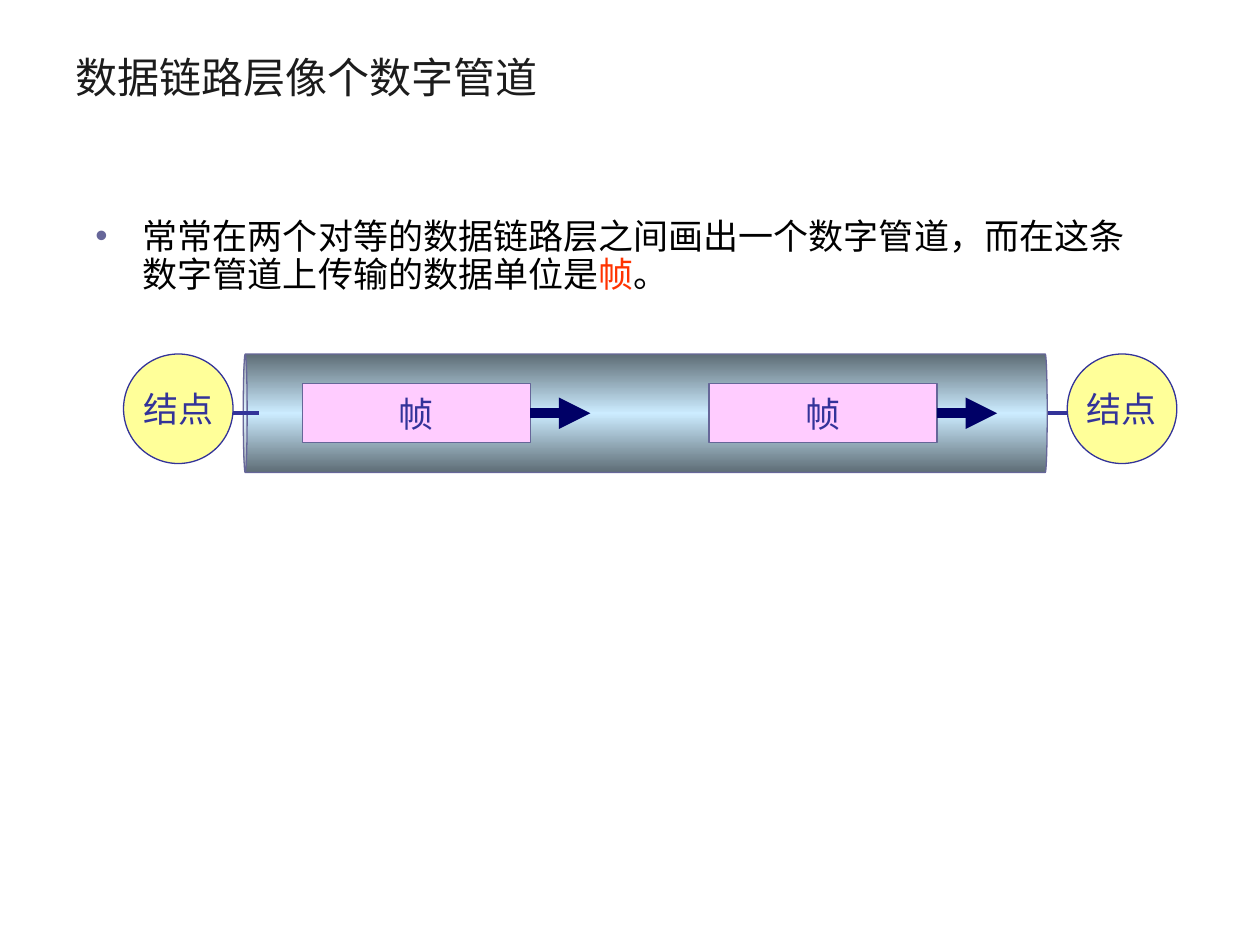
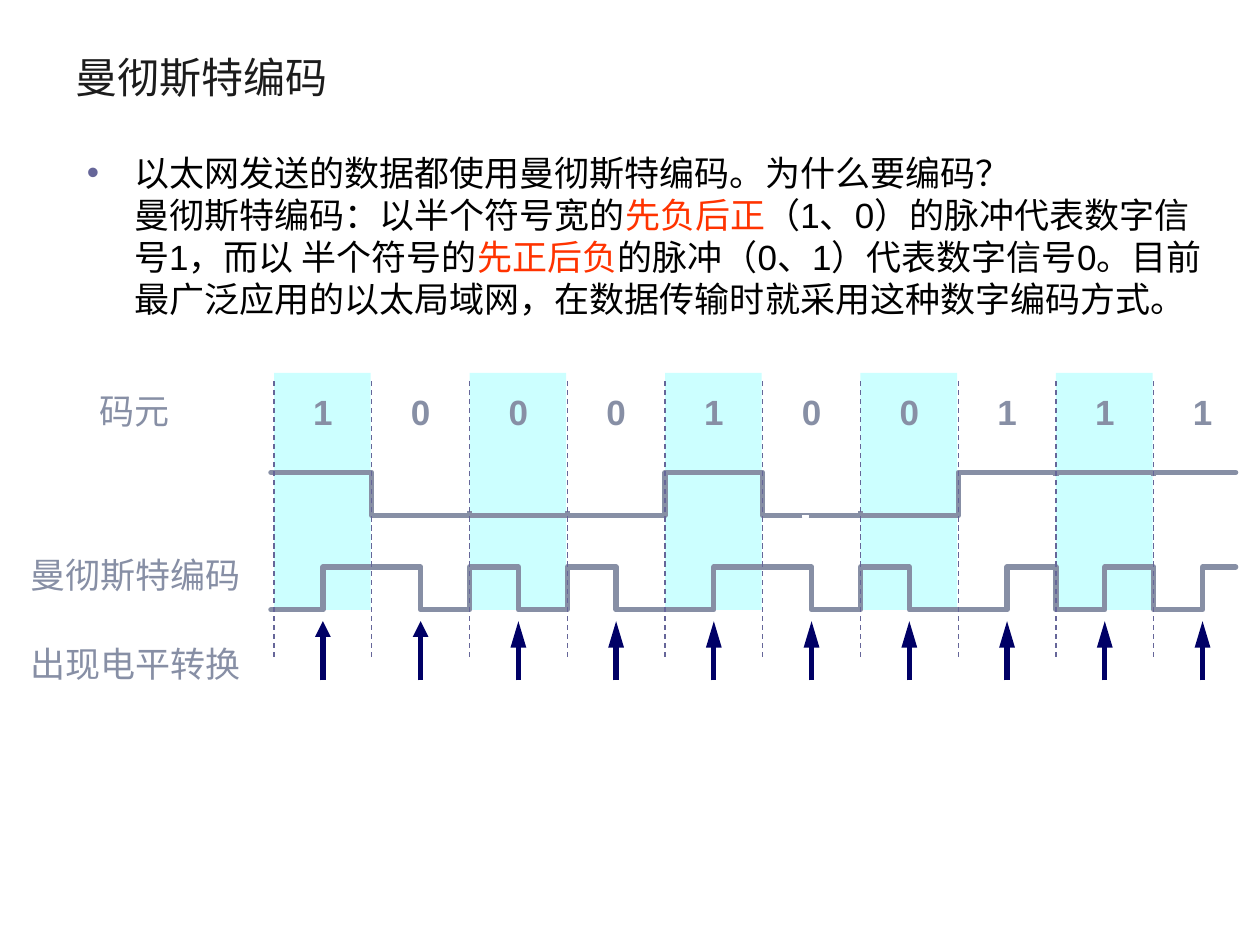
from lxml.etree import SubElement
from pptx import Presentation
from pptx.dml.color import RGBColor
from pptx.enum.dml import MSO_LINE
from pptx.enum.shapes import MSO_CONNECTOR as CONNECTOR, MSO_SHAPE as SHAPE
from pptx.enum.text import MSO_ANCHOR as ANCHOR, MSO_AUTO_SIZE as AUTO, PP_ALIGN as ALIGN
from pptx.oxml.ns import qn
from pptx.util import Pt

COLORS = {
    "title": "1C1C1C", "body": "000000", "accent": "FF3300", "bullet": "666699",
    "node": "FFFF99", "ink": "333399", "frame": "FFCCFF", "edge": "666699",
    "pipe_dark": "5E6D76", "pipe_light": "CCECFF", "arrow": "000066",
    "signal": "878FA5", "band": "CCFFFF", "gap": "FFFFFF",
}
CJK = "Noto Sans CJK SC"
INSETS = {"margin_left": Pt(7.2), "margin_right": Pt(7.2),
          "margin_top": Pt(3.6), "margin_bottom": Pt(3.6), "auto_size": AUTO.NONE}
BITS = "1000100111"


def apply(target, values):
    for key, value in values.items():
        setattr(target, key, value)


def rgb(name):
    return RGBColor.from_string(COLORS[name])


def write(paragraph, text, color, font="Arial", size=20, bold=False):
    run = paragraph.add_run()
    run.text = text
    apply(run.font, {"name": font, "size": Pt(size), "bold": bold})
    run.font.color.rgb = rgb(color)
    SubElement(run.font._element, qn("a:ea"), typeface=CJK)


def outline(line, color, width):
    line.color.rgb = rgb(color)
    line.width = Pt(width)


def add_title(slide, text):
    title = slide.shapes.title
    apply(title, {"left": Pt(36), "top": Pt(21.6), "width": Pt(648), "height": Pt(44)})
    apply(title.text_frame, INSETS | {"vertical_anchor": ANCHOR.MIDDLE, "word_wrap": True})
    paragraph = title.text_frame.paragraphs[0]
    paragraph.alignment = ALIGN.LEFT
    write(paragraph, text, "title", CJK, 24)


def add_bullet_text(slide, left, top, width, height, lines, spacing):
    frame = slide.shapes.add_textbox(Pt(left), Pt(top), Pt(width), Pt(height)).text_frame
    apply(frame, INSETS | {"word_wrap": True})
    paragraph = frame.paragraphs[0]
    properties = paragraph._p.get_or_add_pPr()
    properties.set("marL", str(Pt(27)))
    properties.set("indent", str(-Pt(27)))
    SubElement(SubElement(properties, qn("a:buClr")), qn("a:srgbClr"), val=COLORS["bullet"])
    SubElement(properties, qn("a:buFont"), typeface="Arial")
    SubElement(properties, qn("a:buChar"), char="•")
    paragraph.line_spacing = spacing
    for index, line in enumerate(lines):
        if index:
            paragraph.add_line_break()
        for text, color in line:
            write(paragraph, text, color)


def add_label(slide, left, top, width, text, bold=False, align=ALIGN.LEFT):
    frame = slide.shapes.add_textbox(Pt(left), Pt(top), Pt(width), Pt(31)).text_frame
    apply(frame, INSETS | {"word_wrap": False})
    frame.paragraphs[0].alignment = align
    write(frame.paragraphs[0], text, "signal", bold=bold)


def add_block(slide, kind, left, top, width, height, fill, edge=None, text=""):
    block = slide.shapes.add_shape(kind, Pt(left), Pt(top), Pt(width), Pt(height))
    block.shadow.inherit = False
    block.fill.solid()
    block.fill.fore_color.rgb = rgb(fill)
    if edge:
        outline(block.line, edge, 0.75)
    else:
        block.line.fill.background()
    if text:
        apply(block.text_frame, INSETS | {"vertical_anchor": ANCHOR.MIDDLE, "word_wrap": False})
        block.text_frame.paragraphs[0].alignment = ALIGN.CENTER
        write(block.text_frame.paragraphs[0], text, "ink", "Lato")
    return block


def add_line(slide, x1, y1, x2, y2, color, width, dash=None, head=None):
    line = slide.shapes.add_connector(CONNECTOR.STRAIGHT, Pt(x1), Pt(y1), Pt(x2), Pt(y2))
    outline(line.line, color, width)
    if dash:
        line.line.dash_style = dash
    if head:
        SubElement(line.line._get_or_add_ln(), qn("a:tailEnd"), type="triangle", w="med", len=head)
    SubElement(line._element.spPr, qn("a:effectLst"))


def add_pipe(slide, left, top, length, thickness):
    pipe = add_block(slide, SHAPE.CAN, left + (length - thickness) / 2,
                     top - (length - thickness) / 2, thickness, length, "pipe_light", "edge")
    pipe.rotation = 270
    pipe.adjustments[0] = 0.033
    solid = pipe._element.spPr.find(qn("a:solidFill"))
    gradient = solid.makeelement(qn("a:gradFill"), {"rotWithShape": "0"})
    stops = SubElement(gradient, qn("a:gsLst"))
    for position, name in ((0, "pipe_dark"), (50, "pipe_light"), (100, "pipe_dark")):
        stop = SubElement(stops, qn("a:gs"), pos=str(position * 1000))
        SubElement(stop, qn("a:srgbClr"), val=COLORS[name])
    SubElement(gradient, qn("a:lin"), ang="5400000", scaled="0")
    solid.getparent().replace(solid, gradient)


def add_digital_pipe(slide, left, top, width):
    node, thickness = 62.6, 67.7
    middle = top + thickness / 2
    for node_left in (left, left + width - node):
        add_block(slide, SHAPE.OVAL, node_left, top, node, node, "node", "ink", "结点")
    add_line(slide, left + node, middle, left + width - node, middle, "ink", 2.25)
    add_pipe(slide, left + 68.4, top, 459.4, thickness)
    add_line(slide, left + node, middle, left + node + 14.6, middle, "ink", 2.25)
    frame_width, frame_height = 130.3, 33.8
    for frame_left in (left + 102.2, left + 334.6):
        frame_right = frame_left + frame_width
        add_block(slide, SHAPE.RECTANGLE, frame_left, middle - frame_height / 2,
                  frame_width, frame_height, "frame", "edge", "帧")
        add_line(slide, frame_right, middle, frame_right + 34.3, middle, "arrow", 6, head="med")


def add_wave(slide, points):
    start, *rest = [(Pt(x), Pt(y)) for x, y in points]
    builder = slide.shapes.build_freeform(*start)
    builder.add_line_segments(rest, close=False)
    wave = builder.convert_to_shape()
    wave.shadow.inherit = False
    wave.fill.background()
    outline(wave.line, "signal", 3)
    stroke = wave.line._get_or_add_ln()
    stroke.set("cap", "rnd")
    SubElement(stroke, qn("a:round"))


def wave_points(levels, left, step, high, low, start, end):
    points = []
    for index, level in enumerate(levels):
        y = high if level == "1" else low
        points += [(left + index * step, y), (left + (index + 1) * step, y)]
    points[0] = (start, points[0][1])
    points[-1] = (end, points[-1][1])
    return [point for i, point in enumerate(points)
            if i in (0, len(points) - 1) or not points[i - 1][1] == point[1] == points[i + 1][1]]


def add_timing_chart(slide, left, top, cell):
    bit_high, bit_low, code_high, code_low = (top + y for y in (56.9, 81.4, 110.9, 135.4))
    start, end = left - 1.8, left + 549.5
    for index in range(0, len(BITS), 2):
        add_block(slide, SHAPE.RECTANGLE, left + index * cell, top, 55.2, 135.4, "band")
    for index, bit in enumerate(BITS):
        add_label(slide, left + (index + 0.5) * cell - 12.6, top + 6.5, 25.2, bit, True, ALIGN.CENTER)

    add_wave(slide, wave_points(BITS, left, cell, bit_high, bit_low, start, end))
    for index in range(1, len(BITS)):
        if BITS[index] == BITS[index - 1]:
            x = left + index * cell
            y = bit_high + 2 if BITS[index] == "1" else bit_low
            add_line(slide, x, y, x, y - 2.6, "signal", 3)
    halves = "".join("01" if bit == "1" else "10" for bit in BITS)
    add_wave(slide, wave_points(halves, left, cell / 2, code_high, code_low, start, end))
    add_block(slide, SHAPE.RECTANGLE, left + 302, bit_low, 3.6, 1.2, "gap", "gap")

    for index in range(len(BITS)):
        x = left + index * cell
        add_line(slide, x, top + 162.3, x, top + 3.6, "edge", 0.75, dash=MSO_LINE.DASH)
        x += cell / 2
        add_line(slide, x, top + 175.7, x, top + 141.9, "arrow", 3, head="med" if index < 2 else "lg")


def build_pipe_slide(slide):
    add_title(slide, "数据链路层像个数字管道")
    add_bullet_text(slide, 47.5, 121.7, 612, 380.9, [[
        ("常常在两个对等的数据链路层之间画出一个数字管道，而在这条数字管道上传输的数据单位是", "body"),
        ("帧", "accent"), ("。", "body")]], 0.9)
    add_digital_pipe(slide, 70.6, 202.3, 601.9)


def build_coding_slide(slide):
    add_title(slide, "曼彻斯特编码")
    for left, top, width, text in ((10.1, 312.5, 134.6, "曼彻斯特编码"),
                                   (49.7, 218.9, 54.7, "码元"),
                                   (10.1, 363.6, 134.6, "出现电平转换")):
        add_label(slide, left, top, width, text)
    add_timing_chart(slide, 156.6, 213.1, 55.85)
    add_bullet_text(slide, 42.5, 82.8, 658, 115.2, [
        [("以太网发送的数据都使用曼彻斯特编码。为什么要编码？", "body")],
        [("曼彻斯特编码：以半个符号宽的", "body"), ("先负后正", "accent"),
         ("（1、0）的脉冲代表数字信号1，而以 半个符号的", "body"), ("先正后负", "accent"),
         ("的脉冲（0、1）代表数字信号0。目前最广泛应用的以太局域网，"
          "在数据传输时就采用这种数字编码方式。", "body")]], 1.0)


def main():
    deck = Presentation()
    apply(deck, {"slide_width": Pt(720), "slide_height": Pt(540)})
    title_only = deck.slide_layouts[5]
    for build in (build_pipe_slide, build_coding_slide):
        build(deck.slides.add_slide(title_only))
    deck.save("out.pptx")


if __name__ == "__main__":
    main()
